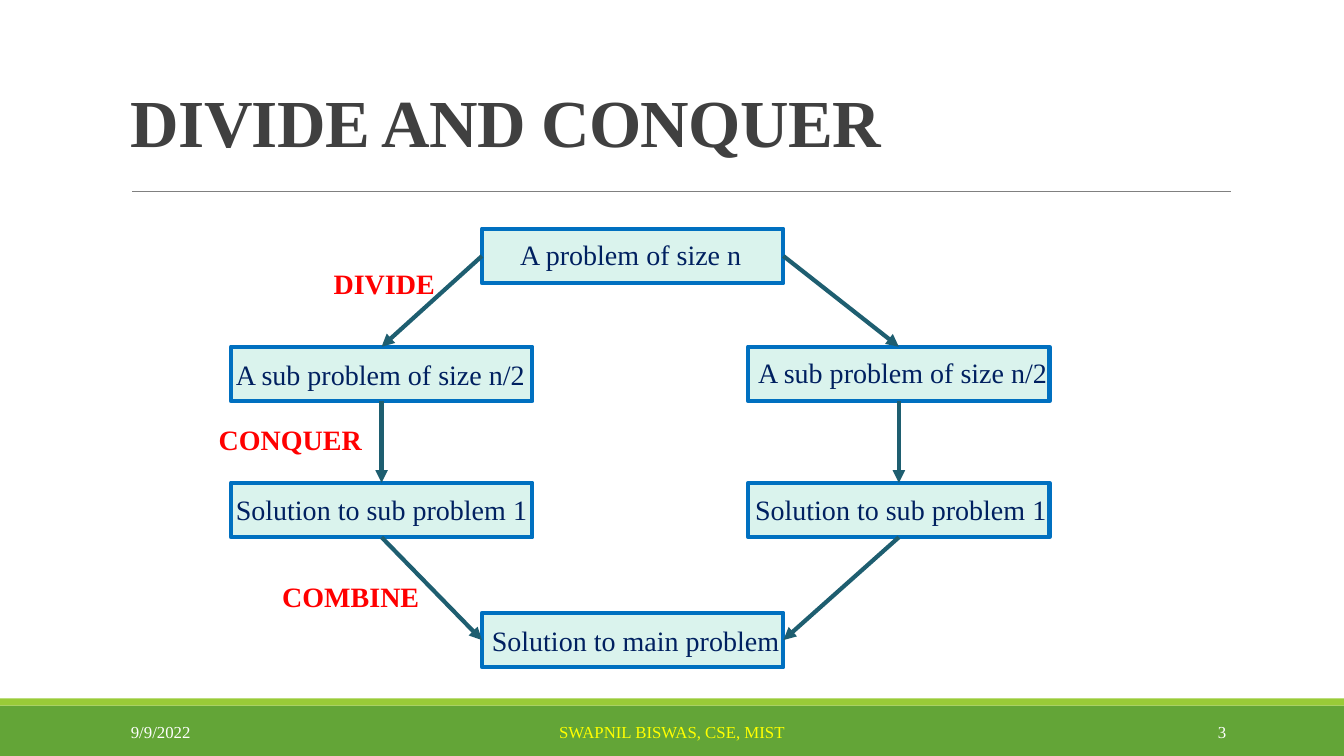
from pptx import Presentation
from pptx.dml.color import RGBColor
from pptx.enum.shapes import MSO_CONNECTOR, MSO_SHAPE
from pptx.enum.text import MSO_ANCHOR, PP_ALIGN
from pptx.oxml.ns import qn
from pptx.util import Inches, Pt
from lxml import etree

RECTANGLE = MSO_SHAPE.RECTANGLE
STRAIGHT = MSO_CONNECTOR.STRAIGHT
TOP, MIDDLE, BOTTOM = MSO_ANCHOR.TOP, MSO_ANCHOR.MIDDLE, MSO_ANCHOR.BOTTOM
LEFT, CENTER, RIGHT = PP_ALIGN.LEFT, PP_ALIGN.CENTER, PP_ALIGN.RIGHT
SITE_TOP, SITE_LEFT, SITE_BOTTOM, SITE_RIGHT = range(4)

FONT = "Times New Roman"
COLOURS = {
    "footer": "63A537", "stripe": "99CB38", "rule": "808080", "title": "404040",
    "box": "DAF3ED", "border": "0070C0", "caption": "002060", "arrow": "1E5E70",
    "step": "FF0000", "white": "FFFFFF", "author": "FFFF00",
}
SLIDE_WIDTH, SLIDE_HEIGHT = 13.33, 7.5
NODE_WIDTH, NODE_HEIGHT = 2.99, 0.54
TEXT_HEIGHT = 0.44

# name: node left, node top, caption, caption left, caption top, caption width
NODES = {
    "problem": (2.49, 0, "A problem of size n", 0.28, 0.04, 2.41),
    "left half": (0, 1.17, "A sub problem of size n/2", -0.05, 0.06, 3.09),
    "right half": (5.13, 1.17, "A sub problem of size n/2", 0, 0.04, 3.09),
    "left solution": (0, 2.52, "Solution to sub problem 1", -0.05, 0.05, 3.11),
    "right solution": (5.13, 2.52, "Solution to sub problem 1", -0.03, 0.05, 3.11),
    "main solution": (2.49, 3.81, "Solution to main problem", 0, 0.06, 3.07),
}
ARROWS = [
    ("problem", SITE_LEFT, "left half", SITE_TOP),
    ("problem", SITE_RIGHT, "right half", SITE_TOP),
    ("left half", SITE_BOTTOM, "left solution", SITE_TOP),
    ("right half", SITE_BOTTOM, "right solution", SITE_TOP),
    ("left solution", SITE_BOTTOM, "main solution", SITE_LEFT),
    ("right solution", SITE_BOTTOM, "main solution", SITE_RIGHT),
]
STEPS = [
    ("DIVIDE", 0.92, 0.32, 1.22),
    ("CONQUER", -0.22, 1.87, 1.64),
    ("COMBINE", 0.41, 3.43, 1.57),
]


def colour(name):
    """Return the named colour of the palette."""
    return RGBColor.from_string(COLOURS[name])


def add_box(slide, left, top, width, height, fill, border=None):
    """Add a rectangle, with a border if a colour is named."""
    shape = slide.shapes.add_shape(
        RECTANGLE, Inches(left), Inches(top), Inches(width), Inches(height))
    shape.shadow.inherit = False
    shape.fill.solid()
    shape.fill.fore_color.rgb = colour(fill)
    if border:
        shape.line.color.rgb = colour(border)
        shape.line.width = Pt(3)
    else:
        shape.line.fill.background()
    return shape


def add_text(slide, text, left, top, width, height, size, fill,
             bold=False, align=LEFT, anchor=TOP, wrap=False):
    """Add a one-line text box and return its paragraph."""
    text_box = slide.shapes.add_textbox(
        Inches(left), Inches(top), Inches(width), Inches(height))
    frame = text_box.text_frame
    frame.word_wrap = wrap
    frame.vertical_anchor = anchor
    paragraph = frame.paragraphs[0]
    paragraph.text = text
    paragraph.alignment = align
    paragraph.font.name = FONT
    paragraph.font.size = Pt(size)
    paragraph.font.bold = bold
    paragraph.font.color.rgb = colour(fill)
    return paragraph


def add_line(slide, start, end, fill, width):
    """Add a straight line without a shadow."""
    connector = slide.shapes.add_connector(
        STRAIGHT, *(Inches(value) for value in (*start, *end)))
    connector.line.color.rgb = colour(fill)
    connector.line.width = Pt(width)
    etree.SubElement(connector._element.spPr, qn("a:effectLst"))
    return connector


def add_arrow(slide, source, source_site, target, target_site):
    """Join two nodes with an arrow that points at the target."""
    connector = add_line(slide, (0, 0), (0, 0), "arrow", 3)
    connector.begin_connect(source, source_site)
    connector.end_connect(target, target_site)
    line = connector.line._get_or_add_ln()
    etree.SubElement(line, qn("a:tailEnd"), type="triangle")


def add_title(slide, left, top, width, height):
    """Place the heading and the rule under it."""
    paragraph = add_text(slide, "DIVIDE AND CONQUER", left, top, width, height,
                         48, "title", bold=True, anchor=BOTTOM, wrap=True)
    paragraph.line_spacing = 0.85
    paragraph.runs[0]._r.get_or_add_rPr().set("spc", "-50")
    rule_top = top + height + 0.25
    add_line(slide, (left + 0.11, rule_top), (left + 11.01, rule_top), "rule", 0.5)


def add_diagram(slide, left, top):
    """Place the nodes, arrows, captions and step names."""
    boxes = {
        name: add_box(slide, left + node[0], top + node[1],
                      NODE_WIDTH, NODE_HEIGHT, "box", "border")
        for name, node in NODES.items()
    }
    for source, source_site, target, target_site in ARROWS:
        add_arrow(slide, boxes[source], source_site, boxes[target], target_site)
    for node_left, node_top, caption, shift_x, shift_y, width in NODES.values():
        add_text(slide, caption, left + node_left + shift_x,
                 top + node_top + shift_y, width, TEXT_HEIGHT, 20, "caption")
    for step, step_left, step_top, width in STEPS:
        add_text(slide, step, left + step_left, top + step_top,
                 width, TEXT_HEIGHT, 20, "step", bold=True)


def add_footer(slide, top, height):
    """Place the footer band with date, author and slide number."""
    add_box(slide, 0, top, SLIDE_WIDTH, height, "footer")
    add_box(slide, 0, top - 0.07, SLIDE_WIDTH, 0.07, "stripe")
    for text, left, width, fill, align in (
            ("9/9/2022", 1.2, 2.7, "white", LEFT),
            ("SWAPNIL BISWAS, CSE, MIST", 4.03, 5.27, "author", CENTER),
            ("3", 10.83, 1.43, "white", RIGHT)):
        add_text(slide, text, left, top + 0.06, width, 0.4, 12, fill,
                 align=align, anchor=MIDDLE, wrap=True)


def main():
    """Build the slide and save it."""
    presentation = Presentation()
    presentation.slide_width = Inches(SLIDE_WIDTH)
    presentation.slide_height = Inches(SLIDE_HEIGHT)
    slide = presentation.slides.add_slide(presentation.slide_layouts[6])
    add_footer(slide, 7, 0.5)
    add_title(slide, 1.2, 0.06, 11, 1.59)
    add_diagram(slide, 2.29, 2.27)
    presentation.save("out.pptx")


if __name__ == "__main__":
    main()
